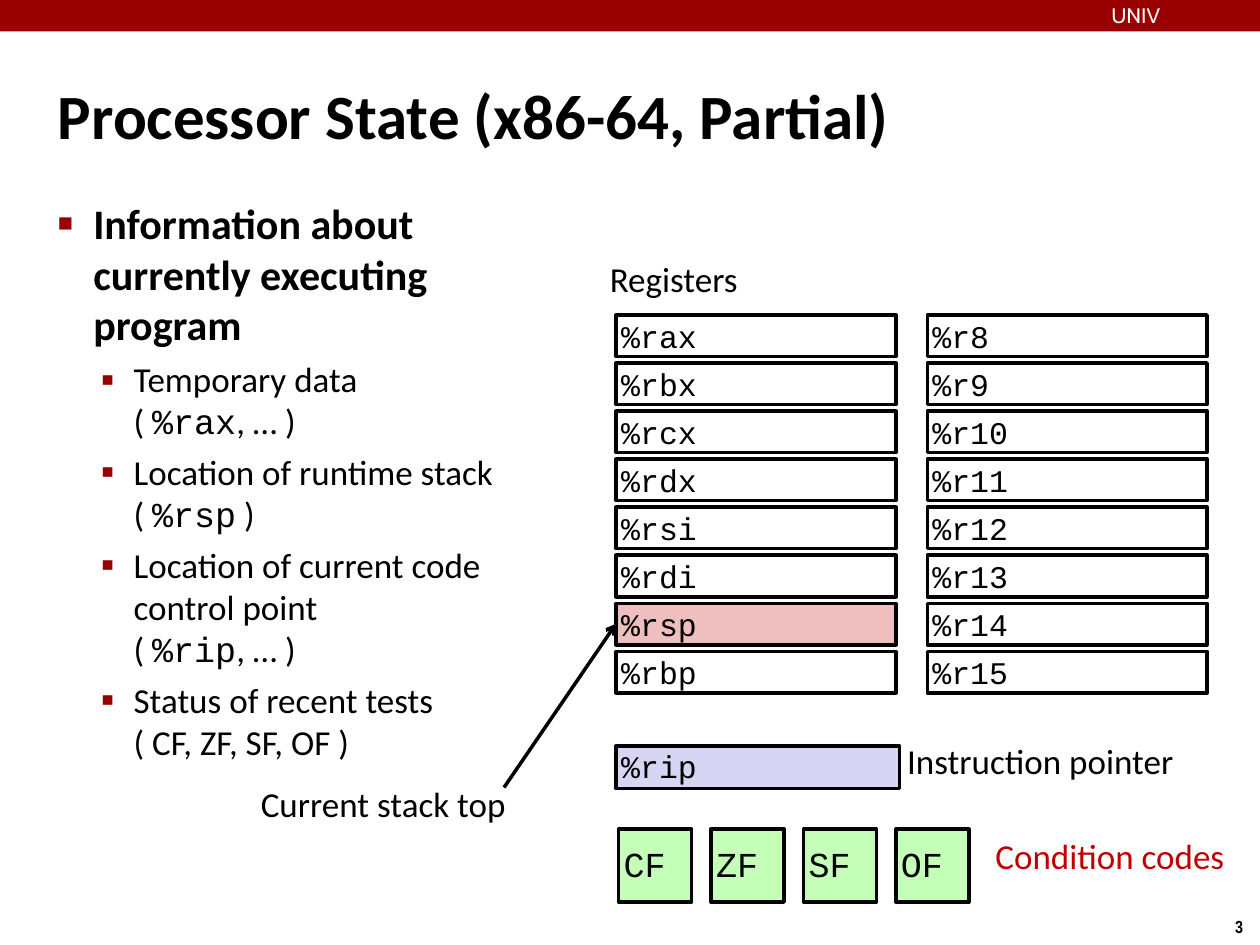
from dataclasses import dataclass
from typing import Any

from lxml import etree
from pptx import Presentation
from pptx import util as u
from pptx.dml import color
from pptx.enum import shapes, text
from pptx.oxml import ns

BLACK, RED = "000000", "990000"
SANS, MONO = "Calibri", "Courier New"
REGISTERS = (
    ("%rax", "%rbx", "%rcx", "%rdx", "%rsi", "%rdi", "%rsp", "%rbp"),
    ("%r8", "%r9", "%r10", "%r11", "%r12", "%r13", "%r14", "%r15"),
)


@dataclass
class Label:
    text: str
    left: float
    top: float
    width: float
    height: float
    size: float = 20
    font: str = SANS
    color: str = BLACK
    bold: bool = False
    inset: float = 0.04
    anchor: Any = text.MSO_ANCHOR.TOP
    align: Any = text.PP_ALIGN.LEFT


@dataclass
class Box:
    text: str
    left: float
    top: float
    width: float = 2.22
    height: float = 0.33
    fill: str | None = None
    size: float = 18
    spacing: float = 1.0


@dataclass
class Bullet:
    runs: tuple[tuple[str, str], ...]
    char: str = "▪"
    scale: int = 110
    size: float = 20
    bold: bool = False
    level: int = 1
    margin: float = 0.6
    hang: float = 0.26
    before: float = 5


LABELS = (
    Label("3", 9.46, 7.22, 0.75, 0.27, 10, "Arial Narrow", bold=True,
          inset=0.05, align=text.PP_ALIGN.CENTER),
    Label("UNIV", 8.82, 0.02, 1.44, 0.19, 12, "Cabin", "FFFFFF", inset=0),
    Label("Processor State (x86-64, Partial)", 0.42, 0.28, 9.17, 1.25, 36,
          bold=True, anchor=text.MSO_ANCHOR.MIDDLE),
    Label("Registers", 4.8, 2, 1.3, 0.42),
    Label("Current stack top", 2.03, 6.17, 2.35, 0.42),
    Label("Instruction pointer", 7.16, 5.83, 2.55, 0.42),
    Label("Condition codes", 7.86, 6.58, 1.97, 0.49, color="C00000"),
)
BULLETS = (
    Bullet((("Information about currently executing program", SANS),),
           "■", 60, 24, True, 0, 0.28, 0.28, 6),
    Bullet((("Temporary data\n( ", SANS), ("%rax", MONO), (", … )", SANS))),
    Bullet((("Location of runtime stack\n( ", SANS), ("%rsp", MONO), (" )", SANS))),
    Bullet((("Location of current code control point\n( ", SANS),
            ("%rip", MONO), (", … )", SANS))),
    Bullet((("Status of recent tests\n( CF, ZF, SF, OF )", SANS),)),
)


def rgb(value: str) -> color.RGBColor:
    return color.RGBColor.from_string(value)


def assign(target: Any, values: dict[str, Any]) -> None:
    for name, value in values.items():
        setattr(target, name, value)


def setup_frame(tf: Any, inset: float, anchor: Any) -> None:
    margins = {f"margin_{side}": u.Inches(inset)
               for side in ("left", "top", "right", "bottom")}
    assign(tf, {"word_wrap": True, "vertical_anchor": anchor, **margins})


def add_run(p: Any, content: str, size: float, font: str,
            hue: str = BLACK, bold: bool = False) -> None:
    for i, line in enumerate(content.split("\n")):
        if i:
            p.add_line_break()
        r = p.add_run()
        r.text = line
        assign(r.font, {"name": font, "size": u.Pt(size), "bold": bold})
        r.font.color.rgb = rgb(hue)


def add_textbox(s: Any, left: float, top: float, width: float, height: float) -> Any:
    return s.shapes.add_textbox(*map(u.Inches, (left, top, width, height))).text_frame


def add_label(s: Any, label: Label) -> None:
    tf = add_textbox(s, label.left, label.top, label.width, label.height)
    setup_frame(tf, label.inset, label.anchor)
    p = tf.paragraphs[0]
    p.alignment = label.align
    add_run(p, label.text, label.size, label.font, label.color, label.bold)


def add_rect(s: Any, left: float, top: float, width: float, height: float,
             fill: str | None) -> Any:
    sp = s.shapes.add_shape(shapes.MSO_SHAPE.RECTANGLE,
                            *map(u.Inches, (left, top, width, height)))
    sp.shadow.inherit = False
    if fill:
        sp.fill.solid()
        sp.fill.fore_color.rgb = rgb(fill)
    else:
        sp.fill.background()
    return sp


def add_box(s: Any, box: Box) -> None:
    sp = add_rect(s, box.left, box.top, box.width, box.height, box.fill)
    sp.line.color.rgb = rgb(BLACK)
    sp.line.width = u.Pt(2)
    setup_frame(sp.text_frame, 0.04, text.MSO_ANCHOR.MIDDLE)
    p = sp.text_frame.paragraphs[0]
    assign(p, {"alignment": text.PP_ALIGN.LEFT, "line_spacing": box.spacing})
    add_run(p, box.text, box.size, MONO)


def add_bullet(p: Any, bullet: Bullet) -> None:
    assign(p, {"level": bullet.level, "space_before": u.Pt(bullet.before)})
    pPr = p._p.get_or_add_pPr()
    pPr.set("marL", str(u.Inches(bullet.margin)))
    pPr.set("indent", str(-u.Inches(bullet.hang)))
    clr = etree.SubElement(pPr, ns.qn("a:buClr"))
    etree.SubElement(clr, ns.qn("a:srgbClr"), val=RED)
    etree.SubElement(pPr, ns.qn("a:buSzPct"), val=str(bullet.scale * 1000))
    etree.SubElement(pPr, ns.qn("a:buFont"), typeface="Arial")
    etree.SubElement(pPr, ns.qn("a:buChar"), char=bullet.char)
    for content, font in bullet.runs:
        add_run(p, content, bullet.size, font, bold=bullet.bold)


def add_arrow(s: Any, start: tuple[float, float], end: tuple[float, float]) -> None:
    sp = s.shapes.add_connector(shapes.MSO_CONNECTOR.STRAIGHT,
                                *map(u.Inches, start + end))
    sp.line.color.rgb = rgb(BLACK)
    sp.line.width = u.Pt(2)
    etree.SubElement(sp.line._get_or_add_ln(), ns.qn("a:tailEnd"), type="arrow")
    etree.SubElement(sp._element.spPr, ns.qn("a:effectLst"))


def main() -> None:
    prs = Presentation()
    assign(prs, {"slide_width": u.Inches(10), "slide_height": u.Inches(7.5)})
    s = prs.slides.add_slide(prs.slide_layouts[6])

    add_rect(s, 0, 0, 10, 0.25, RED).line.fill.background()
    for label in LABELS:
        add_label(s, label)

    tf = add_textbox(s, 0.42, 1.53, 3.65, 5.94)
    setup_frame(tf, 0.04, text.MSO_ANCHOR.TOP)
    for i, bullet in enumerate(BULLETS):
        add_bullet(tf.add_paragraph() if i else tf.paragraphs[0], bullet)

    row_step = (5.17 - 2.5) / 7
    for col, names in enumerate(REGISTERS):
        for row, name in enumerate(names):
            fill = "EFBFBF" if name == "%rsp" else None
            add_box(s, Box(name, 4.89 + 2.47 * col, 2.5 + row_step * row, fill=fill))
    add_box(s, Box("%rip", 4.89, 5.92, 2.25, 0.34, "D6D6F4", spacing=0.95))
    flag_step = (7.11 - 4.91) / 3
    for i, flag in enumerate(("CF", "ZF", "SF", "OF")):
        add_box(s, Box(flag, 4.91 + flag_step * i, 6.58, 0.58, 0.58, "C5FEB8", 20, 0.95))
    add_arrow(s, (4, 6.25), (4.89, 4.95))

    prs.save("out.pptx")


if __name__ == "__main__":
    main()
